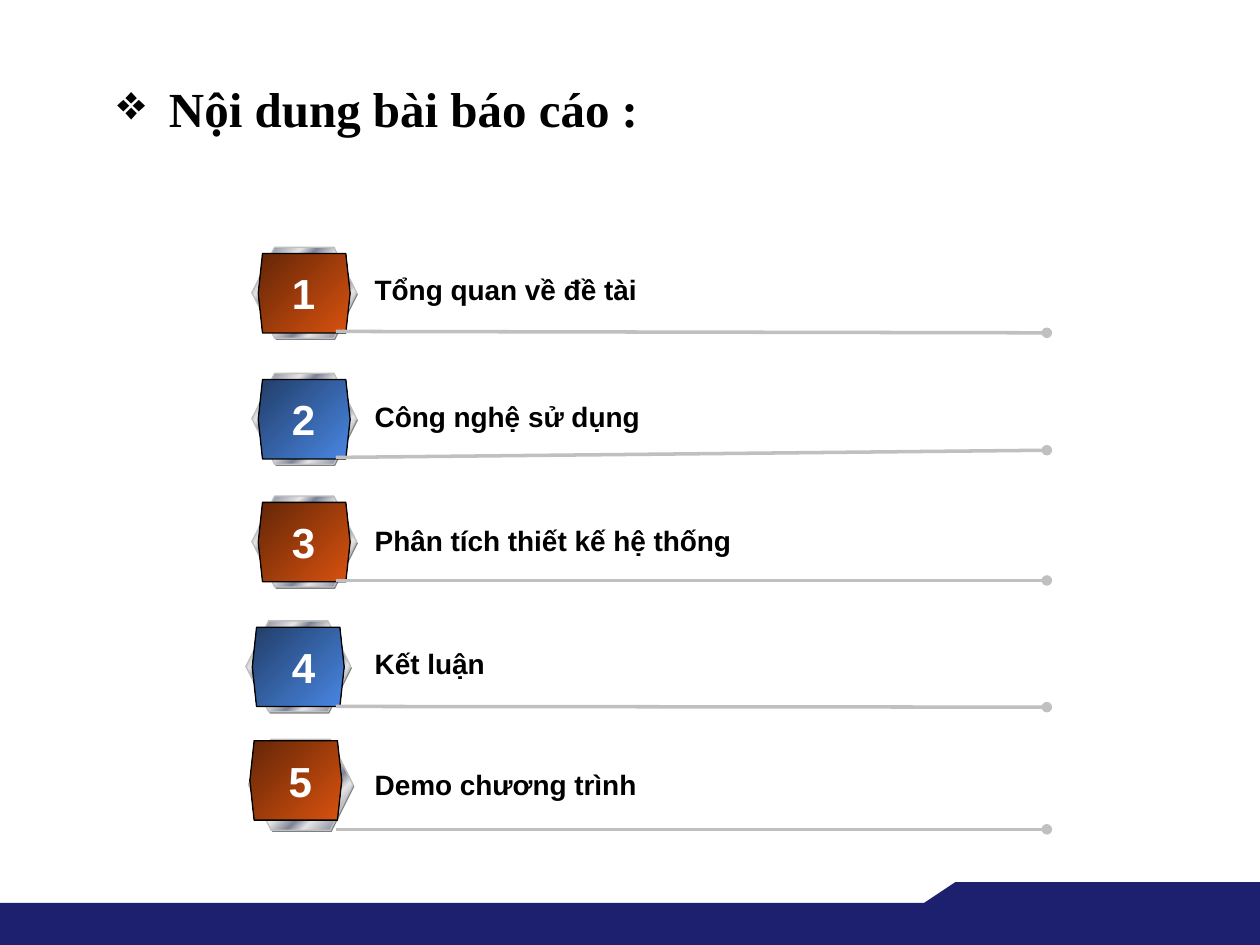
from collections import namedtuple
from copy import deepcopy

from lxml.etree import SubElement
from pptx import Presentation
from pptx.dml.color import RGBColor
from pptx.enum.shapes import MSO_CONNECTOR as Connector, MSO_SHAPE as Shape
from pptx.enum.text import MSO_ANCHOR as Anchor, PP_ALIGN as Align
from pptx.oxml.ns import qn
from pptx.util import Pt

NAVY, BLACK, WHITE, SILVER, GREY = "1D1F6F", "000000", "FFFFFF", "C0C0C0", "808080"
ORANGE = [(0, "642607"), (100, "D9520F")]
BLUE = [(0, "223E69"), (100, "4987E3")]
METAL = [(0, "E6E6E6"), (7, "7D8496"), (26, "E6E6E6"), (34, "7D8496"),
         (46, "E6E6E6"), (50, "FFFFFF"), (54, "E6E6E6"), (66, "7D8496"),
         (74, "E6E6E6"), (92, "7D8496"), (100, "E6E6E6")]

RIM_SIZE = (59.8, 52)
FACE_SIZE = (52.5, 45.4)
RULE_LEFT, RULE_RIGHT = 192, 598.2
LABEL_LEFT = 207

Topic = namedtuple("Topic", "label left top face_offset label_top rule_start rule_end")
TOPICS = [
    Topic("Tổng quan về đề tài", 144, 141.3, 3.6, 152, 189.4, 190.2),
    Topic("Công nghệ sử dụng", 144, 213.3, 3.6, 224.6, 261.4, 257.3),
    Topic("Phân tích thiết kế hệ thống", 144, 283.5, 3.6, 295.4, 331.7, 331.7),
    Topic("Kết luận", 140.6, 354.8, 3.6, 366, 403.7, 404.1),
    Topic("Demo chương trình", 142, 422.5, 0.8, 435, 473.9, 473.9),
]


def color(hex_text):
    return RGBColor.from_string(hex_text)


def paint(shape, fill, line=None):
    """Fill with one colour, or with a list of (percent, colour) stops."""
    shape.shadow.inherit = False
    if isinstance(fill, str):
        shape.fill.solid()
        shape.fill.fore_color.rgb = color(fill)
    else:
        shape.fill.gradient()
        shape.fill.gradient_angle = 315
        stops = shape._element.spPr.find(qn("a:gradFill")).find(qn("a:gsLst"))
        for stop in list(stops):
            stops.remove(stop)
        for percent, stop_color in fill:
            stop = SubElement(stops, qn("a:gs"), pos=str(percent * 1000))
            SubElement(stop, qn("a:srgbClr"), val=stop_color)
    if line:
        shape.line.color.rgb = color(line)
        shape.line.width = Pt(0.75)
    else:
        shape.line.fill.background()


def write(frame, text, size, text_color, font="Arial", align=Align.LEFT):
    paragraph = frame.paragraphs[0]
    paragraph.alignment = align
    run = paragraph.add_run()
    run.text = text
    run.font.size = Pt(size)
    run.font.name = font
    run.font.bold = True
    run.font.color.rgb = color(text_color)
    return paragraph


def add_text_box(slide, left, top, width, height):
    frame = slide.shapes.add_textbox(Pt(left), Pt(top), Pt(width), Pt(height)).text_frame
    frame.word_wrap = True
    return frame


def add_title(slide):
    frame = add_text_box(slide, 60, 39.6, 618, 44.6)
    frame.vertical_anchor = Anchor.MIDDLE
    paragraph = write(frame, " Nội dung bài báo cáo :", 28, BLACK, "Times New Roman")
    properties = paragraph._p.get_or_add_pPr()
    properties.set("marL", str(Pt(22.5)))
    properties.set("indent", str(Pt(-22.5)))
    bullet_color = SubElement(properties, qn("a:buClr"))
    SubElement(bullet_color, qn("a:srgbClr"), val=BLACK)
    SubElement(properties, qn("a:buChar"), char="❖")


def add_footer(slide):
    footer = slide.shapes.add_group_shape().shapes
    band = footer.add_shape(Shape.RECTANGLE, 0, Pt(516), Pt(720), Pt(24))
    paint(band, NAVY)
    outline = footer.build_freeform(Pt(528), Pt(516))
    corners = [(546, 504), (720, 504), (720, 522), (528, 522)]
    outline.add_line_segments([(Pt(x), Pt(y)) for x, y in corners], close=True)
    paint(outline.convert_to_shape(), NAVY)


def add_hexagon(shapes, left, top, size, slant, fill, line=None):
    width, height = size
    hexagon = shapes.add_shape(Shape.HEXAGON, Pt(left), Pt(top), Pt(width), Pt(height))
    hexagon.adjustments[0] = slant
    paint(hexagon, fill, line)
    return hexagon


def add_badge(slide, topic, face_fill):
    """Metal rim over its grey shade, with a coloured face on top."""
    left, top, offset = topic.left, topic.top, topic.face_offset
    badge = slide.shapes.add_group_shape().shapes
    add_hexagon(badge, left + 0.7, top + 1, RIM_SIZE, 0.25, GREY)
    add_hexagon(badge, left, top, RIM_SIZE, 0.25, METAL, SILVER)
    return add_hexagon(badge, left + offset, top + offset, FACE_SIZE, 0.054,
                       face_fill, BLACK)


def add_rule(slide, start, end):
    rule = slide.shapes.add_connector(
        Connector.STRAIGHT, Pt(RULE_LEFT), Pt(start), Pt(RULE_RIGHT), Pt(end))
    rule.line.color.rgb = color(SILVER)
    rule.line.width = Pt(2)
    SubElement(rule.line._get_or_add_ln(), qn("a:tailEnd"), type="oval")
    SubElement(rule._element.spPr, qn("a:effectLst"))


def add_topic(slide, number, topic):
    face = add_badge(slide, topic, ORANGE if number % 2 else BLUE)
    add_rule(slide, topic.rule_start, topic.rule_end)
    write(add_text_box(slide, LABEL_LEFT, topic.label_top, 325, 26.6),
          topic.label, 16, BLACK)
    if number < len(TOPICS):
        frame = add_text_box(slide, 159.5, topic.top + 8, 28, 36)
        frame.word_wrap = False
        write(frame, str(number), 24, WHITE, align=Align.CENTER)
    else:
        frame = face.text_frame
        frame.margin_left = Pt(17)
        frame.margin_right = 0
        frame.vertical_anchor = Anchor.MIDDLE
        write(frame, str(number), 24, WHITE)


def main():
    deck = Presentation()
    deck.slide_width, deck.slide_height = Pt(720), Pt(540)
    slide = deck.slides.add_slide(deck.slide_layouts[6])
    add_footer(slide)
    add_title(slide)
    for number, topic in enumerate(TOPICS, 1):
        add_topic(slide, number, topic)
    deck.save("out.pptx")


if __name__ == "__main__":
    main()
